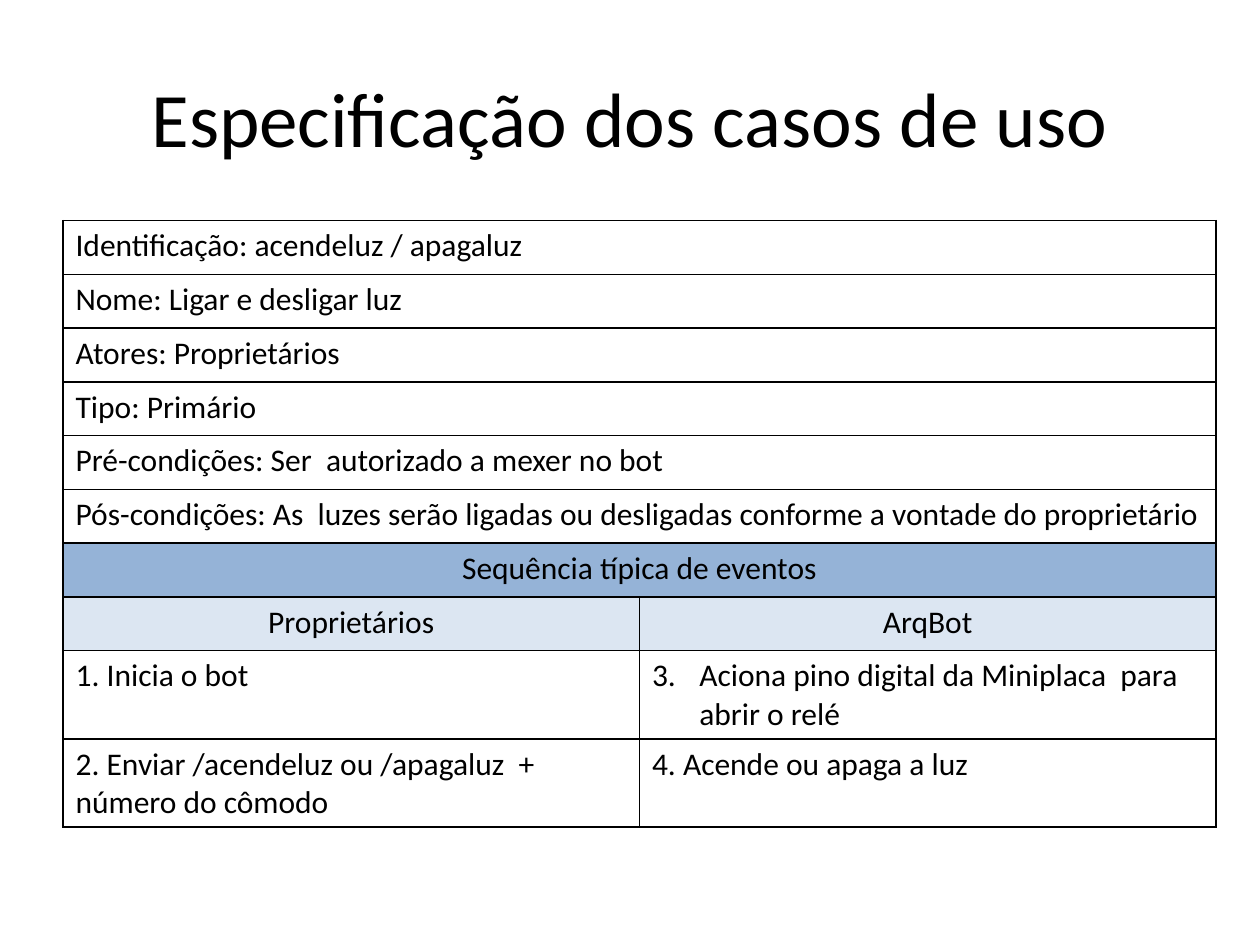
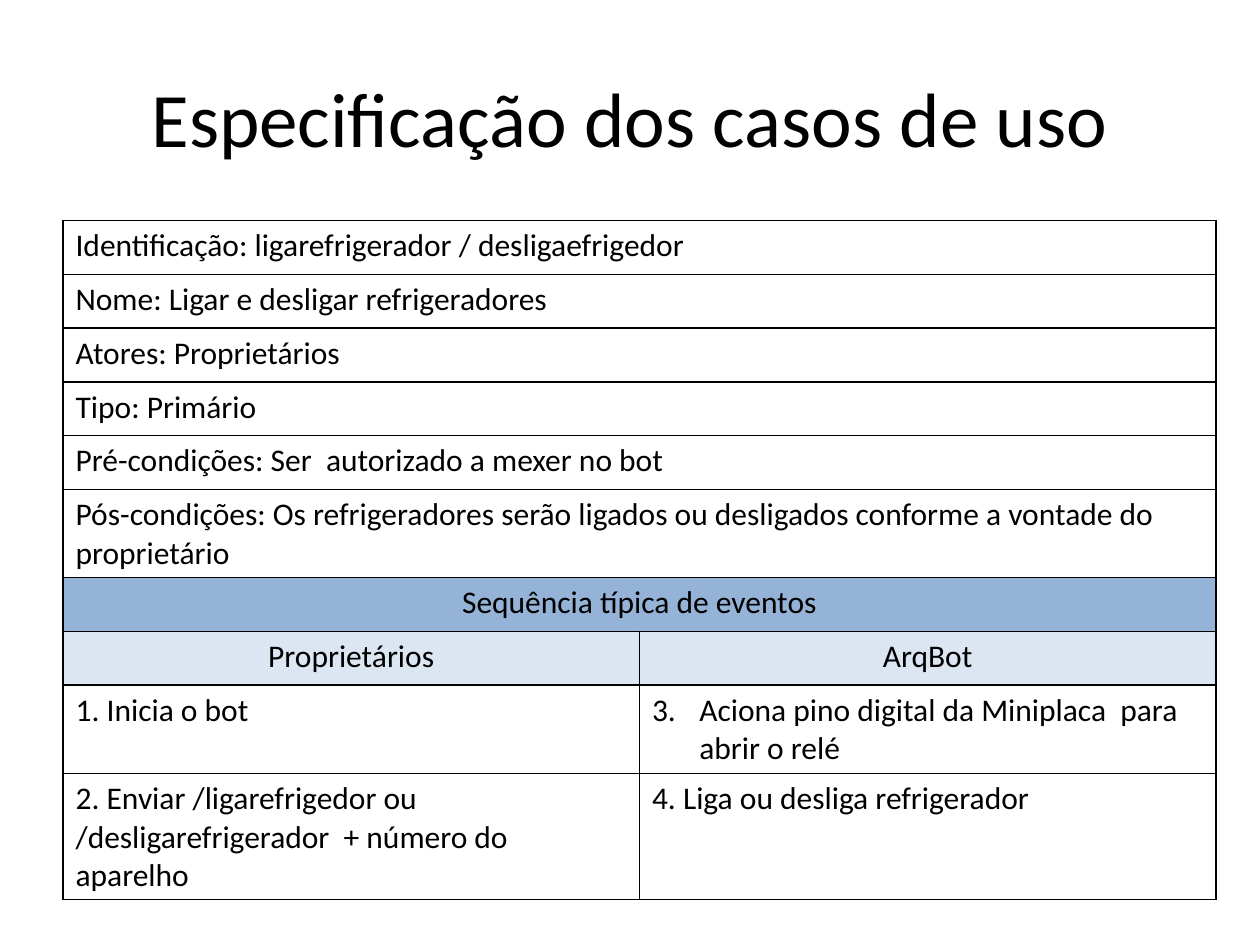
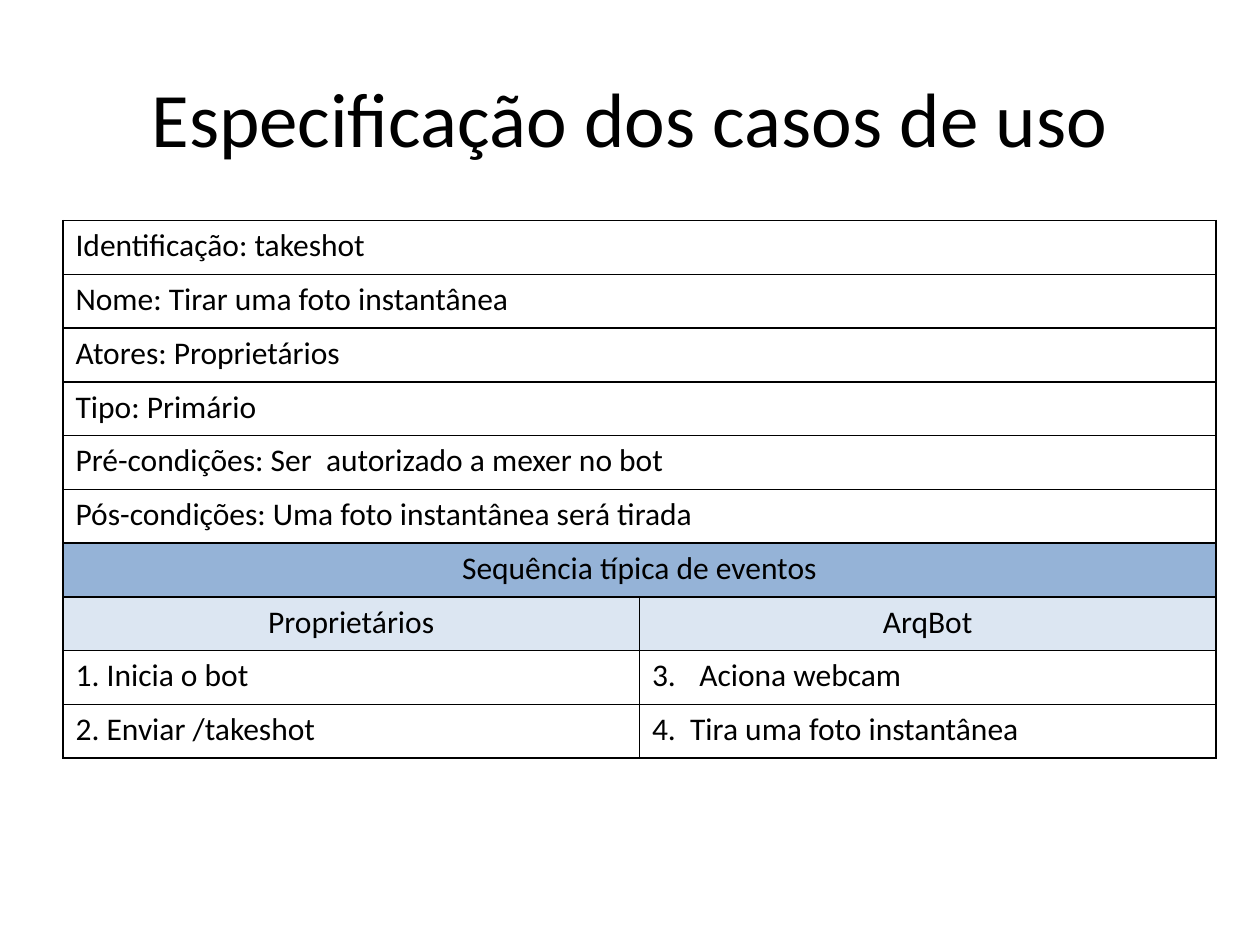
"""Build three slides that specify the use cases of a home bot."""
from dataclasses import dataclass

from lxml import etree
from pptx import Presentation
from pptx.dml.color import RGBColor
from pptx.enum.text import MSO_ANCHOR, PP_ALIGN
from pptx.oxml.ns import qn
from pptx.util import Pt

CENTER = PP_ALIGN.CENTER
LEFT = PP_ALIGN.LEFT
MIDDLE = MSO_ANCHOR.MIDDLE

COLORS = {"ink": "000000", "band": "95B3D7", "head": "DCE6F2"}
FONT = "Calibri"
TITLE = "Especificação dos casos de uso"
ACTORS = "Proprietários"
BAND = "Sequência típica de eventos"
HEADS = (ACTORS, "ArqBot")
START = "1. Inicia o bot"
RELAY = "Aciona pino digital da Miniplaca  para abrir o relé"
ROW = Pt(30.74)
HALF = Pt(329.4)
INDENT = Pt(27)


@dataclass(frozen=True)
class UseCase:
    """Hold the wording of one use case and the height of its table."""
    ident: str
    name: str
    result: str
    send: str
    action: str
    effect: str
    height: float


CASES = (
    UseCase("acendeluz / apagaluz", "Ligar e desligar luz",
            "As  luzes serão ligadas ou desligadas conforme a vontade do proprietário",
            "2. Enviar /acendeluz ou /apagaluz  + número do cômodo",
            RELAY, "4. Acende ou apaga a luz", 347.04),
    UseCase("ligarefrigerador / desligaefrigedor", "Ligar e desligar refrigeradores",
            "Os refrigeradores serão ligados ou desligados conforme a vontade do proprietário",
            "2. Enviar /ligarefrigedor ou /desligarefrigerador  + número do aparelho",
            RELAY, "4. Liga ou desliga refrigerador", 388.08),
    UseCase("takeshot", "Tirar uma foto instantânea",
            "Uma foto instantânea será tirada",
            "2. Enviar /takeshot",
            "Aciona webcam", "4.  Tira uma foto instantânea", 307.44),
)


def write(frame, text: str, size: float, align=LEFT) -> None:
    """Set the text of a frame and format it."""
    frame.text = text
    para = frame.paragraphs[0]
    para.alignment = align
    for run in para.runs:
        run.font.name = FONT
        run.font.size = Pt(size)
        run.font.color.rgb = RGBColor.from_string(COLORS["ink"])


def add_title(slide) -> None:
    """Add the shared title."""
    box = slide.shapes.add_textbox(Pt(36), Pt(21.6), Pt(648), Pt(90))
    box.text_frame.word_wrap = True
    box.text_frame.vertical_anchor = MIDDLE
    write(box.text_frame, TITLE, 44, CENTER)


def add_edges(cell) -> None:
    """Draw a thin line on each side of a cell."""
    props = cell._tc.get_or_add_tcPr()
    for side in ("lnL", "lnR", "lnT", "lnB"):
        line = etree.SubElement(props, qn(f"a:{side}"), w=str(Pt(1)))
        fill = etree.SubElement(line, qn("a:solidFill"))
        etree.SubElement(fill, qn("a:srgbClr"), val=COLORS["ink"])


def add_number(para, start: int) -> None:
    """Number a paragraph with a hanging indent."""
    props = para._p.get_or_add_pPr()
    props.set("marL", str(INDENT))
    props.set("indent", str(-INDENT))
    etree.SubElement(props, qn("a:buFont"), typeface="+mj-lt")
    etree.SubElement(props, qn("a:buAutoNum"), type="arabicPeriod", startAt=str(start))


def list_rows(case: UseCase) -> list[tuple[tuple[str, ...], str]]:
    """Return the texts and the fill name of each row."""
    facts = (
        f"Identificação: {case.ident}",
        f"Nome: {case.name}",
        f"Atores: {ACTORS}",
        "Tipo: Primário",
        "Pré-condições: Ser  autorizado a mexer no bot",
        f"Pós-condições: {case.result}",
    )
    return [
        *(((fact,), "") for fact in facts),
        ((BAND,), "band"),
        (HEADS, "head"),
        ((START, case.action), ""),
        ((case.send, case.effect), ""),
    ]


def add_case(slide, case: UseCase) -> None:
    """Add the table of one use case."""
    rows = list_rows(case)
    shape = slide.shapes.add_table(len(rows), 2, Pt(36), Pt(126), 2 * HALF, ROW * len(rows))
    table = shape.table
    table.first_row = False
    table.horz_banding = False
    for row, (texts, fill) in enumerate(rows):
        table.rows[row].height = ROW
        for col in range(2):
            cell = table.cell(row, col)
            add_edges(cell)
            if fill:
                cell.fill.solid()
                cell.fill.fore_color.rgb = RGBColor.from_string(COLORS[fill])
            else:
                cell.fill.background()
        if len(texts) == 1:
            table.cell(row, 0).merge(table.cell(row, 1))
        for col, text in enumerate(texts):
            write(table.cell(row, col).text_frame, text, 18, CENTER if fill else LEFT)
    add_number(table.cell(len(rows) - 2, 1).text_frame.paragraphs[0], 3)
    shape.height = Pt(case.height)


def main() -> None:
    """Build and save the slides."""
    deck = Presentation()
    deck.slide_width = Pt(720)
    deck.slide_height = Pt(540)
    for case in CASES:
        slide = deck.slides.add_slide(deck.slide_layouts[6])
        add_title(slide)
        add_case(slide, case)
    deck.save("out.pptx")


if __name__ == "__main__":
    main()
